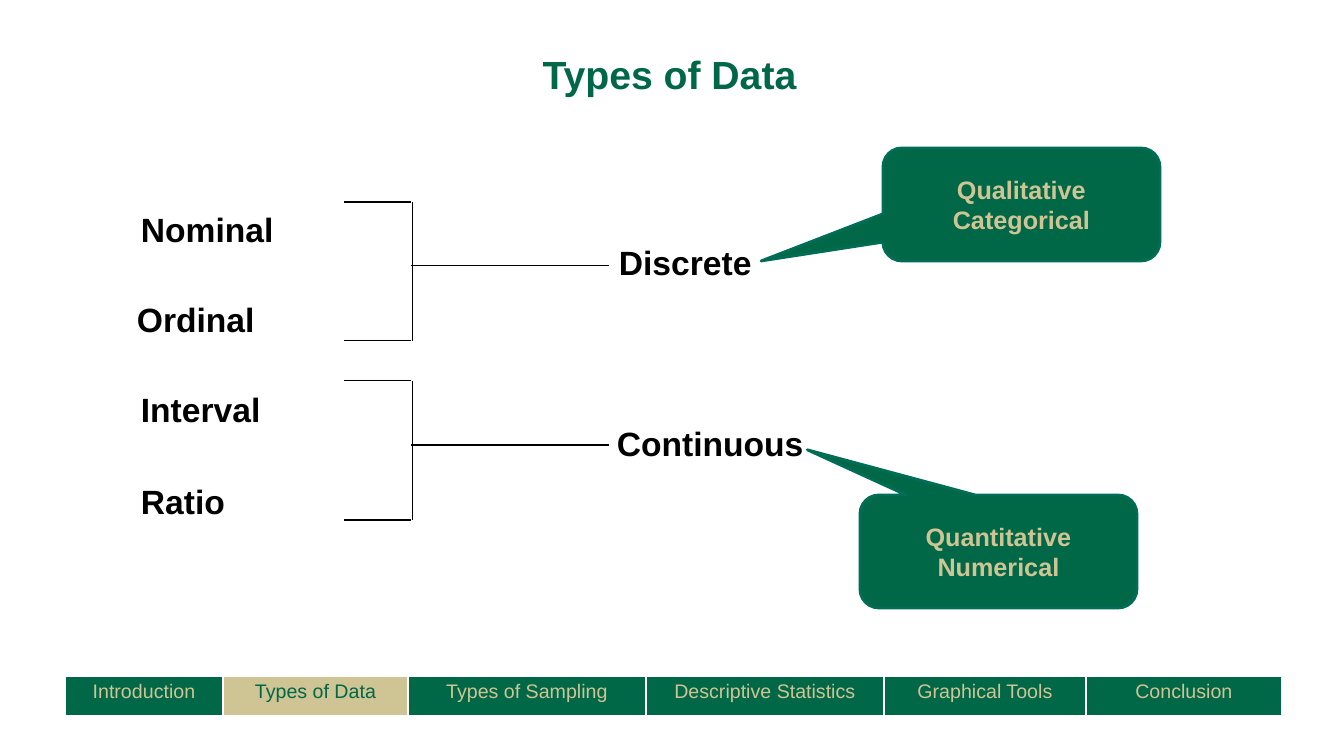
from lxml.etree import SubElement as Sub
from pptx import Presentation
from pptx.dml.color import RGBColor as RGB
from pptx.enum.shapes import MSO_CONNECTOR as LINE, MSO_SHAPE as SHAPE
from pptx.enum.text import MSO_ANCHOR as ANCHOR, PP_ALIGN as ALIGN
from pptx.oxml.ns import qn
from pptx.util import Emu, Pt

GREEN = RGB(0x00, 0x67, 0x47)
EDGE = RGB(0x00, 0x6D, 0x56)
SAND = RGB(0xCF, 0xC4, 0x93)
BLACK = RGB(0, 0, 0)
FONT = "Arial"


def px(*nums):
    """Turn whole pixels into EMU lengths."""
    return [Emu(round(n * 914400 / 100.8)) for n in nums]


def write(frame, lines, size, color, bold=True, align=ALIGN.CENTER):
    """Fill a text frame with one styled run per line."""
    for i, line in enumerate(lines):
        para = frame.paragraphs[0] if i == 0 else frame.add_paragraph()
        para.alignment = align
        run = para.add_run()
        run.text = line
        font = run.font
        font.name, font.size, font.bold = FONT, Pt(size), bold
        font.color.rgb = color


deck = Presentation()
deck.slide_width, deck.slide_height = px(1344, 756)
slide = deck.slides.add_slide(deck.slide_layouts[6])
shapes = slide.shapes

# Title
title = shapes.add_textbox(*px(68, 45, 1203, 116)).text_frame
title.word_wrap = True
write(title, ["Types of Data"], 28, GREEN)

# Scales of measurement and the two data types
labels = [
    ("Nominal", 131, 204, 154), ("Ordinal", 127, 294, 139),
    ("Interval", 131, 384, 141), ("Ratio", 131, 476, 105),
    ("Discrete", 609, 237, 154), ("Continuous", 607, 418, 209),
]
for text, left, top, width in labels:
    frame = shapes.add_textbox(*px(left, top, width, 50)).text_frame
    frame.word_wrap = False
    write(frame, [text], 24, BLACK, align=ALIGN.LEFT)

# Brackets that join each pair of scales to its type
for top in (202, 381):
    low, mid = top + 139, top + 64
    group = shapes.add_group_shape()
    for ends in [(413, top, 413, low), (411, top, 344, top),
                 (411, low, 344, low), (609, mid, 411, mid)]:
        line = group.shapes.add_connector(LINE.STRAIGHT, *px(*ends))
        line.line.color.rgb = BLACK
        line.line.width = Pt(0.75)
        Sub(line._element.spPr, qn("a:effectLst"))

# Callouts
calls = [
    (["Qualitative", "Categorical"], 883, 148, -0.94, 0.5),
    (["Quantitative", "Numerical"], 860, 495, -0.69, -0.9),
]
for lines, left, top, tip_x, tip_y in calls:
    call = shapes.add_shape(SHAPE.ROUNDED_RECTANGULAR_CALLOUT,
                            *px(left, top, 277, 113))
    call.shadow.inherit = False
    call.adjustments[0], call.adjustments[1] = tip_x, tip_y
    call.fill.solid()
    call.fill.fore_color.rgb = GREEN
    call.line.color.rgb = EDGE
    call.line.width = Pt(2)
    call.text_frame.vertical_anchor = ANCHOR.MIDDLE
    write(call.text_frame, lines, 18, SAND)

# Navigation bar
tabs = [("Introduction", 158), ("Types of Data", 185),
        ("Types of Sampling", 238), ("Descriptive Statistics", 238),
        ("Graphical Tools", 202), ("Conclusion", 196)]
total = sum(width for _, width in tabs)
table = shapes.add_table(1, len(tabs), *px(65, 676, total, 41)).table
table.first_row = table.horz_banding = False
for i, (text, width) in enumerate(tabs):
    table.columns[i].width = px(width)[0]
    cell = table.cell(0, i)
    props = cell._tc.get_or_add_tcPr()
    for side, weight in zip("LRTB", (1, 1, 1, 3)):
        edge = Sub(props, qn("a:ln" + side), w=str(Pt(weight)))
        Sub(Sub(edge, qn("a:solidFill")), qn("a:srgbClr"), val="FFFFFF")
    back, ink = (SAND, GREEN) if text == "Types of Data" else (GREEN, SAND)
    cell.fill.solid()
    cell.fill.fore_color.rgb = back
    write(cell.text_frame, [text], 14, ink, bold=False)

deck.save("out.pptx")
